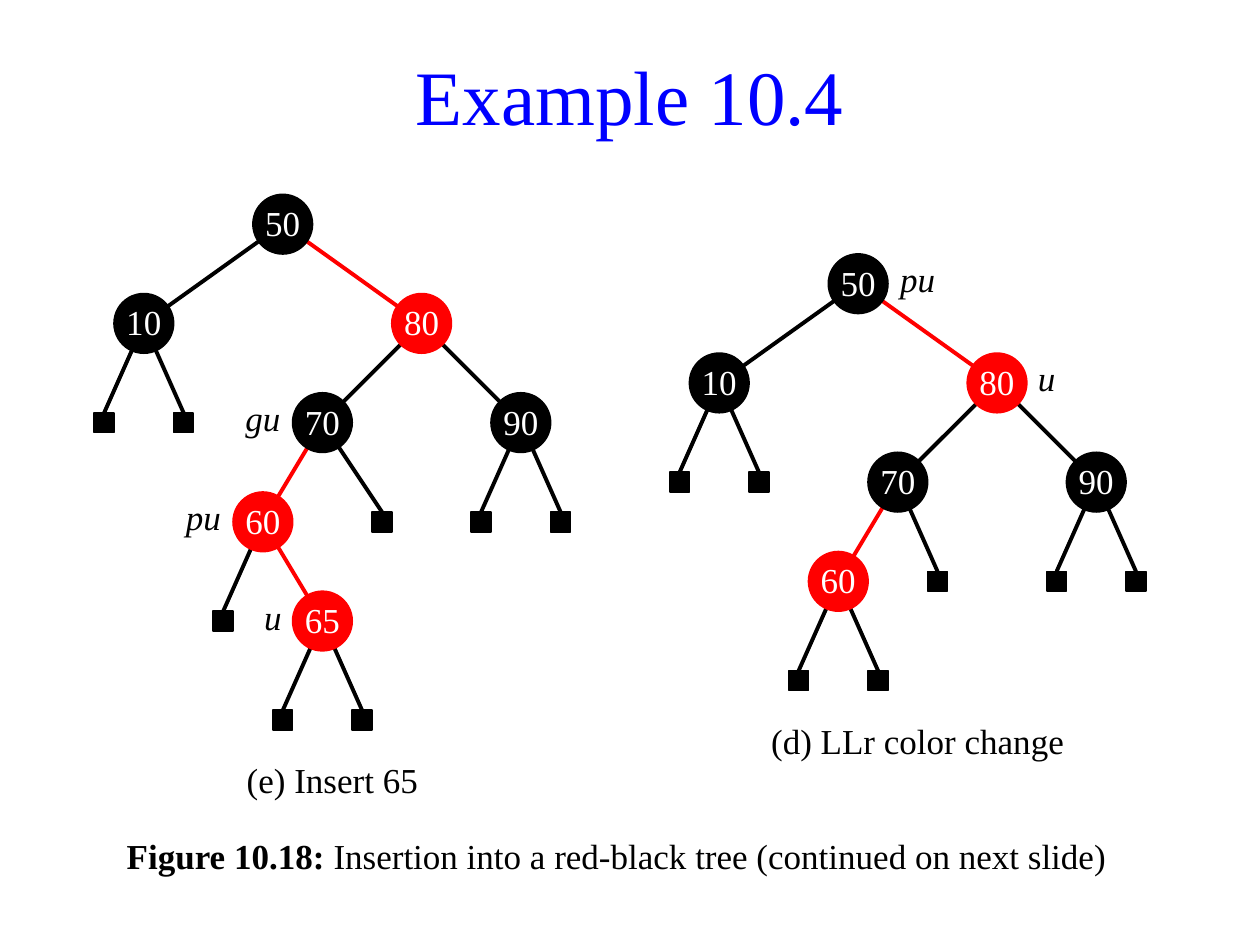
from dataclasses import dataclass

from pptx import Presentation
from pptx.dml.color import RGBColor
from pptx.enum.shapes import MSO_CONNECTOR as Connector, MSO_SHAPE as Shape
from pptx.enum.text import MSO_ANCHOR as Anchor, MSO_AUTO_SIZE as AutoSize, PP_ALIGN as Align
from pptx.oxml.xmlchemy import OxmlElement
from pptx.util import Cm, Pt

BLACK, RED, BLUE, WHITE = "000000", "FF0000", "0000FF", "FFFFFF"


@dataclass
class Node:
    """A tree node; shift is its sideways distance from its parent in cm."""
    key: str = ""
    shift: float = 0.8
    color: str = BLACK
    children: tuple = ()
    label: str = ""


def color(value):
    return RGBColor.from_string(value)


def add_text(para, text, size=20, fill=BLACK, bold=False, italic=False, font="Times New Roman"):
    span = para.add_run()
    span.text = text
    span.font.name = font
    span.font.size = Pt(size)
    span.font.bold = bold
    span.font.italic = italic
    span.font.color.rgb = color(fill)


class TreeSlide:
    level = 2.0      # distance between tree levels, cm
    circle = 1.2     # node diameter, cm
    square = 0.4     # external node side, cm
    margin = 0.2     # text margin, cm

    def __init__(self, deck):
        self.page = deck.slides.add_slide(deck.slide_layouts[1])
        self.shapes = self.page.shapes

    def place(self, holder, left, top, width, height, anchor):
        holder.left, holder.top = Cm(left), Cm(top)
        holder.width, holder.height = Cm(width), Cm(height)
        frame = holder.text_frame
        frame.auto_size = AutoSize.NONE
        frame.vertical_anchor = anchor
        return frame.paragraphs[0]

    def title(self, text):
        para = self.place(self.shapes.title, 1.1, 0.7, 23.2, 2.4, Anchor.MIDDLE)
        para.alignment = Align.CENTER
        add_text(para, text, size=44, fill=BLUE)

    def figure_caption(self, number, text):
        para = self.place(self.page.placeholders[1], 2.3, 16.7, 20.4, 1.2, Anchor.TOP)
        props = para._p.get_or_add_pPr()
        props.set("marL", "0")
        props.set("indent", "0")
        props.append(OxmlElement("a:buNone"))
        para.space_before = Pt(0)
        add_text(para, number, bold=True)
        add_text(para, text)

    def text(self, text, left, top, width, bottom=0.0, italic=False):
        box = self.shapes.add_textbox(Cm(left), Cm(top), Cm(width), Cm(self.circle))
        frame = box.text_frame
        frame.word_wrap = True
        frame.vertical_anchor = Anchor.MIDDLE
        frame.margin_left = frame.margin_right = Cm(self.margin)
        frame.margin_top, frame.margin_bottom = 0, Cm(bottom)
        para = frame.paragraphs[0]
        para.alignment = Align.CENTER
        add_text(para, text, italic=italic)

    def edge(self, x1, y1, x2, y2, fill):
        line = self.shapes.add_connector(Connector.STRAIGHT, Cm(x1), Cm(y1), Cm(x2), Cm(y2))
        line.line.color.rgb = color(fill)
        line.line.width = Pt(2.25)
        line._element.spPr.append(OxmlElement("a:effectLst"))

    def mark(self, kind, x, y, side, fill):
        """A filled shape centred on (x, y)."""
        shape = self.shapes.add_shape(kind, Cm(x - side / 2), Cm(y - side / 2), Cm(side), Cm(side))
        shape.shadow.inherit = False
        shape.fill.solid()
        shape.fill.fore_color.rgb = color(fill)
        shape.line.color.rgb = color(fill)
        shape.line.width = Pt(1)
        return shape

    def node(self, node, x, y):
        frame = self.mark(Shape.OVAL, x, y, self.circle, node.color).text_frame
        frame.margin_left = frame.margin_right = frame.margin_top = 0
        frame.margin_bottom = Cm(0.03)
        frame.vertical_anchor = Anchor.BOTTOM
        para = frame.paragraphs[0]
        para.alignment = Align.CENTER
        add_text(para, node.key, fill=WHITE)

    def label(self, text, x, y, on_left):
        width = 0.4 + 0.4 * len(text)
        radius = self.circle / 2
        left = x - radius - width if on_left else x + radius
        self.text(text, left, y - radius, width, bottom=self.margin, italic=True)

    def tree(self, node, x, y, labels_left):
        if not node.key:
            self.mark(Shape.RECTANGLE, x, y, self.square, node.color)
            return
        for sign, child in zip((-1, 1), node.children):
            child_x, child_y = x + sign * child.shift, y + self.level
            end_y = child_y if child.key else child_y - self.square / 2
            self.edge(x, y, child_x, end_y, child.color)
            self.tree(child, child_x, child_y, labels_left)
        self.node(node, x, y)
        if node.label:
            self.label(node.label, x, y, labels_left)


def main():
    deck = Presentation()
    deck.slide_width, deck.slide_height = Cm(25.4), Cm(19.05)
    slide = TreeSlide(deck)
    slide.title("Example 10.4")
    slide.figure_caption("Figure 10.18: ", "Insertion into a red-black tree (continued on next slide)")

    # Subtrees shared by both trees
    leaf = Node()
    leaves = (leaf, leaf)
    ten = Node("10", 2.8, children=leaves)
    ninety = Node("90", 2, children=leaves)

    # Left tree: after inserting 65
    new = Node("65", 1.2, RED, leaves, "u")
    sixty = Node("60", 1.2, RED, (leaf, new), "pu")
    seventy = Node("70", 2, BLACK, (sixty, Node(shift=1.2)), "gu")
    eighty = Node("80", 2.8, RED, (seventy, ninety))
    slide.tree(Node("50", children=(ten, eighty)), 5.7, 4.52, labels_left=True)
    slide.text("(e) Insert 65", 4.7, 15.12, 4)

    # Right tree: after the color change
    sixty = Node("60", 1.2, RED, leaves)
    seventy = Node("70", 2, BLACK, (sixty, leaf))
    eighty = Node("80", 2.8, RED, (seventy, ninety), "u")
    slide.tree(Node("50", children=(ten, eighty), label="pu"), 17.3, 5.72, labels_left=False)
    slide.text("(d) LLr color change", 15.1, 14.32, 6.8)

    deck.save("out.pptx")


if __name__ == "__main__":
    main()
